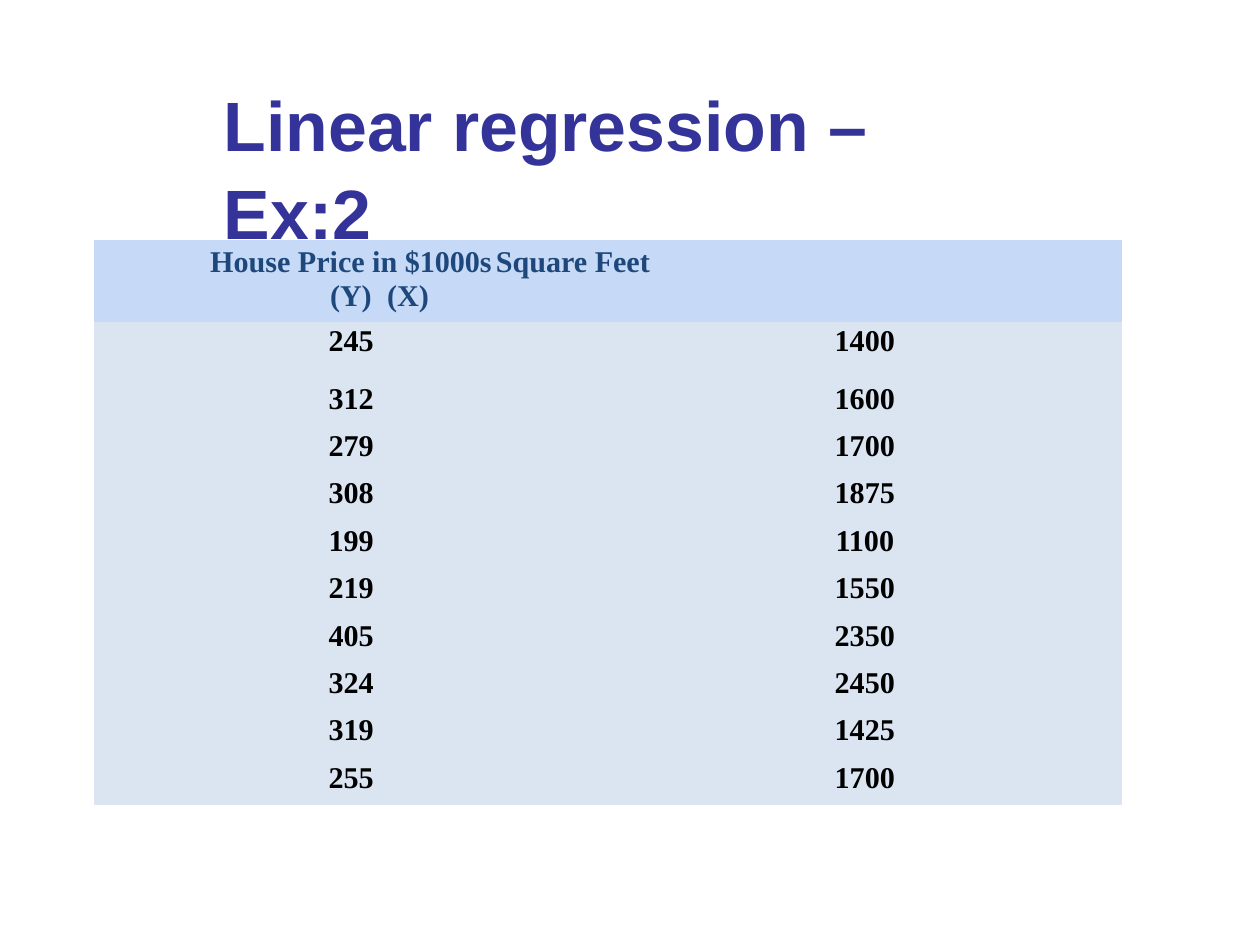
from dataclasses import dataclass

from lxml.etree import SubElement
from pptx import Presentation
from pptx.dml.color import RGBColor as RGB
from pptx.enum.text import PP_ALIGN as Align
from pptx.oxml.ns import qn
from pptx.util import Pt


@dataclass(frozen=True)
class Theme:
    """Colours, fonts and type sizes of the slide."""
    title_color: RGB = RGB(0x33, 0x33, 0x99)
    header_color: RGB = RGB(0x1E, 0x48, 0x7C)
    body_color: RGB = RGB(0, 0, 0)
    header_fill: RGB = RGB(0xC6, 0xD9, 0xF6)
    body_fill: RGB = RGB(0xDB, 0xE5, 0xF1)
    title_font: str = "Arial"
    table_font: str = "Times New Roman"
    title_size: float = 44
    table_size: float = 19
    table_style: str = "{2D5ABB26-0587-4C30-8999-92F81FD0307C}"


class SlideBuilder:
    """Draws titles and tables on one slide in the given theme."""

    def __init__(self, slide, theme):
        self.slide = slide
        self.theme = theme

    def fill_line(self, paragraph, text, font, size, color, indent=0, tabs=()):
        """Fill a paragraph with bold text, an indent and left tab stops."""
        paragraph.text = text
        properties = paragraph._p.get_or_add_pPr()
        properties.set("marL", str(Pt(indent)))
        properties.set("indent", "0")
        if tabs:
            stops = SubElement(properties, qn("a:tabLst"))
            for stop in tabs:
                SubElement(stops, qn("a:tab"), pos=str(Pt(stop)), algn="l")
        for run in paragraph.runs:
            run.font.name = font
            run.font.size = Pt(size)
            run.font.bold = True
            run.font.color.rgb = color

    def title(self, text, left, top, width, height, tabs):
        """Add the slide title as a wrapping text box."""
        box = self.slide.shapes.add_textbox(Pt(left), Pt(top), Pt(width), Pt(height))
        frame = box.text_frame
        frame.word_wrap = True
        frame.margin_left = frame.margin_right = frame.margin_bottom = 0
        frame.margin_top = Pt(0.7)
        heading = frame.paragraphs[0]
        self.fill_line(heading, text, self.theme.title_font, self.theme.title_size,
                       self.theme.title_color, tabs=tabs)
        heading.line_spacing = 1.05

    def table(self, left, top, widths, heights):
        """Add a table without borders and return it."""
        frame = self.slide.shapes.add_table(
            len(heights), len(widths), Pt(left), Pt(top), Pt(sum(widths)), Pt(sum(heights)))
        table = frame.table
        table.horz_banding = False
        table._tbl.tblPr.find(qn("a:tableStyleId")).text = self.theme.table_style
        for column, width in zip(table.columns, widths):
            column.width = Pt(width)
        for row, height in zip(table.rows, heights):
            row.height = Pt(height)
        return table

    def cell(self, cell, fill, top, right=0):
        """Set the fill and the margins of a cell."""
        cell.fill.solid()
        cell.fill.fore_color.rgb = fill
        cell.margin_left = cell.margin_bottom = 0
        cell.margin_top, cell.margin_right = Pt(top), Pt(right)

    def header(self, table, lines):
        """Fill the merged header row with tabbed lines."""
        cell = table.cell(0, 0)
        cell.merge(table.cell(0, len(table.columns) - 1))
        self.cell(cell, self.theme.header_fill, 2.9)
        frame = cell.text_frame
        for number, (text, indent, stop) in enumerate(lines):
            line = frame.add_paragraph() if number else frame.paragraphs[0]
            self.fill_line(line, text, self.theme.table_font, self.theme.table_size,
                           self.theme.header_color, indent, (stop,))
            line.line_spacing = Pt(21.6)

    def value(self, cell, number, align, top, indent=0, right=0):
        """Fill a body cell with one number."""
        self.cell(cell, self.theme.body_fill, top, right)
        entry = cell.text_frame.paragraphs[0]
        self.fill_line(entry, str(number), self.theme.table_font, self.theme.table_size,
                       self.theme.body_color, indent)
        entry.alignment = align


def main():
    """Build the regression data slide."""
    houses = [(245, 1400), (312, 1600), (279, 1700), (308, 1875), (199, 1100),
              (219, 1550), (405, 2350), (324, 2450), (319, 1425), (255, 1700)]
    top_margins = [1.6, 5.7] + [2.3] * (len(houses) - 2)
    row_heights = [51.8, 32.5, 33] + [29.9] * (len(houses) - 2)

    presentation = Presentation()
    presentation.slide_width, presentation.slide_height = Pt(794), Pt(595)
    slide = presentation.slides.add_slide(presentation.slide_layouts[6])
    builder = SlideBuilder(slide, Theme())

    builder.title("Linear\tregression –\tEx:2", 141, 48, 510, 55, (145.5, 419))
    prices = builder.table(59, 151.2, (322, 326), row_heights)
    builder.header(prices, [("House Price in $1000s\tSquare Feet", 73.5, 435),
                            ("(Y)\t(X)", 149, 473)])
    for row, ((price, area), top) in enumerate(zip(houses, top_margins), start=1):
        builder.value(prices.cell(row, 0), price, Align.RIGHT, top, right=145.5)
        builder.value(prices.cell(row, 1), area, Align.CENTER, top, indent=2)

    presentation.save("out.pptx")


if __name__ == "__main__":
    main()
